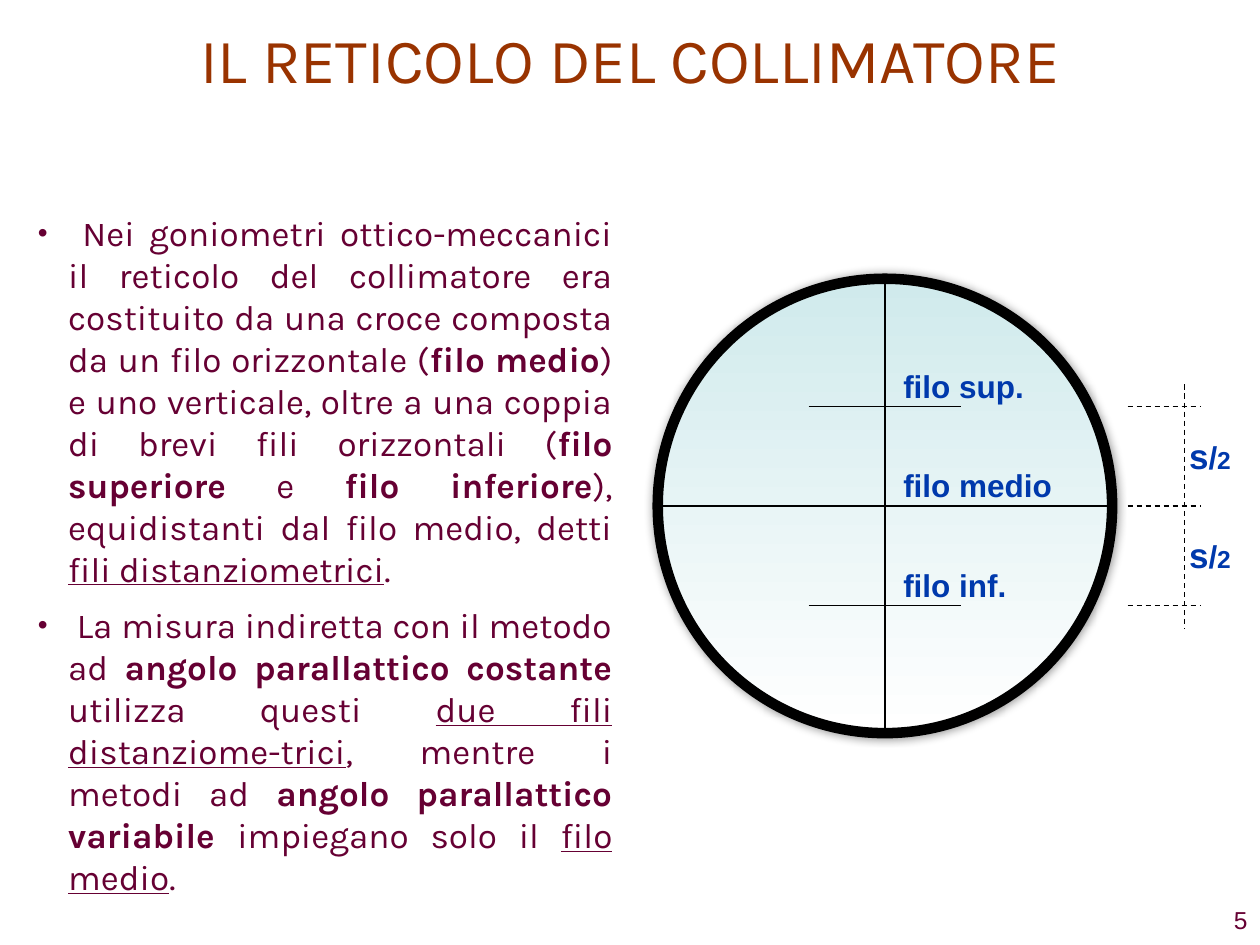
"""Build the slide on the reticle of the collimator."""
from lxml import etree
from pptx import Presentation, util as u
from pptx.dml.color import RGBColor
from pptx.enum import dml, shapes, text
from pptx.oxml import ns

BLACK = RGBColor(0, 0, 0)
BROWN = RGBColor(0x99, 0x33, 0x00)
PLUM = RGBColor(0x66, 0x00, 0x33)
BLUE = RGBColor(0x00, 0x39, 0xAC)
PALE = RGBColor(0xD0, 0xEA, 0xEC)
WHITE = RGBColor(0xFF, 0xFF, 0xFF)

MID_X, MID_Y, RADIUS = 17.84, 10.2, 4.58
GAP = 2.01
ROWS = [MID_Y - GAP, MID_Y, MID_Y + GAP]
WIRES = [("filo sup.", 2.97), ("filo medio", 3.53), ("filo inf.", 2.62)]
ITEMS = [
    [(" Nei goniometri ottico-meccanici il reticolo del collimatore era "
      "costituito da una croce composta da un filo orizzontale (", ""),
     ("filo medio", "b"),
     (") e uno verticale, oltre a una coppia di brevi fili orizzontali (", ""),
     ("filo superiore", "b"), (" e ", ""), ("filo inferiore", "b"),
     ("), equidistanti dal filo medio, detti ", ""),
     ("fili distanziometrici", "u"), (".", "")],
    [(" La misura indiretta con il metodo ad ", ""),
     ("angolo parallattico costante ", "b"), ("utilizza questi ", ""),
     ("due fili distanziome-trici", "u"), (", mentre i metodi ad ", ""),
     ("angolo parallattico variabile ", "b"), ("impiegano solo il ", ""),
     ("filo medio", "u"), (".", "")],
]


def add_sub(node, tag, **attrs):
    """Append a drawing element with the given attributes."""
    return etree.SubElement(node, ns.qn(tag), attrs)


def set_font(font, name, size, color, bold=None):
    """Set the face, size, colour and weight of a font."""
    font.name, font.size, font.bold = name, u.Pt(size), bold
    font.color.rgb = color


def place(shape, *box):
    """Move a shape to left, top, width and height in centimetres."""
    shape.left, shape.top, shape.width, shape.height = map(u.Cm, box)


def fill_title(shape, words):
    """Place the title and write its words."""
    place(shape, 0, 0, 25.4, 2.34)
    shape.text_frame.vertical_anchor = text.MSO_ANCHOR.MIDDLE
    para = shape.text_frame.paragraphs[0]
    para.text, para.alignment = words, text.PP_ALIGN.CENTER
    set_font(para.font, "Karla", 36, BROWN)


def set_bullet(para):
    """Give a paragraph a hanging round bullet."""
    props = para._p.get_or_add_pPr()
    props.set("marL", str(u.Cm(0.61)))
    props.set("indent", str(-u.Cm(0.61)))
    add_sub(props, "a:buSzPct", val="80000")
    add_sub(props, "a:buFont", typeface="Arial")
    add_sub(props, "a:buChar", char="•")


def fill_body(shape, items):
    """Place the body and write its justified list."""
    place(shape, 0.51, 4.14, 12.09, 12.57)
    frame = shape.text_frame
    frame.auto_size = text.MSO_AUTO_SIZE.SHAPE_TO_FIT_TEXT
    for i, item in enumerate(items):
        para = frame.add_paragraph() if i else frame.paragraphs[0]
        set_bullet(para)
        para.alignment = text.PP_ALIGN.JUSTIFY
        para.space_before, para.space_after = u.Pt(0), u.Pt(8)
        set_font(para.font, "Karla", 20, PLUM)
        for words, style in item:
            run = para.add_run()
            run.text = words
            if style == "b":
                run.font.bold = True
            elif style == "u":
                run.font.underline = True


def add_lens(slide):
    """Draw the round field of view with its soft shadow."""
    lens = slide.shapes.add_shape(
        shapes.MSO_SHAPE.OVAL, u.Cm(MID_X - RADIUS), u.Cm(MID_Y - RADIUS),
        u.Cm(2 * RADIUS), u.Cm(2 * RADIUS))
    lens.fill.gradient()
    lens.fill.gradient_angle = 270
    for stop, color, spot in zip(lens.fill.gradient_stops, (PALE, WHITE), (0, 1)):
        stop.color.rgb, stop.position = color, spot
    lens.line.color.rgb, lens.line.width = BLACK, u.Pt(6)
    lens.shadow.inherit = False
    glow = add_sub(lens._element.spPr.find(ns.qn("a:effectLst")), "a:outerShdw",
                   blurRad=str(u.Pt(5)), dist="0", dir="0",
                   algn="ctr", rotWithShape="0")
    tint = add_sub(glow, "a:srgbClr", val=str(BLACK))
    add_sub(tint, "a:alpha", val="40000")


def add_line(slide, x1, y1, x2, y2, dash=False):
    """Draw a thin black line, dashed on request."""
    line = slide.shapes.add_connector(
        shapes.MSO_CONNECTOR.STRAIGHT, *map(u.Cm, (x1, y1, x2, y2)))
    line.line.color.rgb, line.line.width = BLACK, u.Pt(0.75)
    if dash:
        line.line.dash_style = dml.MSO_LINE.DASH
    add_sub(line._element.spPr, "a:effectLst")


def add_label(slide, box, parts, color=BLUE, bold=True):
    """Write a one-line label from pairs of words and size."""
    frame = slide.shapes.add_textbox(*map(u.Cm, box)).text_frame
    frame.word_wrap = False
    frame.auto_size = text.MSO_AUTO_SIZE.SHAPE_TO_FIT_TEXT
    para = frame.paragraphs[0]
    set_font(para.font, "Arial", parts[0][1], color, bold)
    for words, size in parts:
        run = para.add_run()
        run.text = words
        if size != parts[0][1]:
            run.font.size = u.Pt(size)
    return frame


def add_number(slide, words):
    """Write the page number at the lower right."""
    frame = add_label(slide, (19.48, 18.11, 5.92, 1.32), [(words, 14)], PLUM, False)
    frame.auto_size, frame.word_wrap = text.MSO_AUTO_SIZE.NONE, True
    frame.paragraphs[0].alignment = text.PP_ALIGN.RIGHT


def main():
    """Build and save the slide."""
    deck = Presentation()
    deck.slide_width, deck.slide_height = u.Cm(25.4), u.Cm(19.05)
    slide = deck.slides.add_slide(deck.slide_layouts[1])
    fill_title(slide.shapes.title, "IL RETICOLO DEL COLLIMATORE")
    fill_body(slide.placeholders[1], ITEMS)
    add_lens(slide)
    add_line(slide, MID_X, MID_Y - RADIUS, MID_X, MID_Y + RADIUS)
    add_line(slide, 23.88, 7.75, 23.88, 12.67, dash=True)
    for y, (name, width) in zip(ROWS, WIRES):
        half = RADIUS if y == MID_Y else 1.54
        add_line(slide, MID_X - half, y, MID_X + half, y)
        add_line(slide, 22.73, y, 24.21, y, dash=True)
        add_label(slide, (17.96, y - 0.92, width, 1.02), [(name, 18)])
    for y in ROWS[:2]:
        add_label(slide, (23.72, y + 0.44, 1.37, 1.12),
                  [("s", 20), ("/", 18), ("2", 14)])
    add_number(slide, "5")
    deck.save("out.pptx")


if __name__ == "__main__":
    main()
